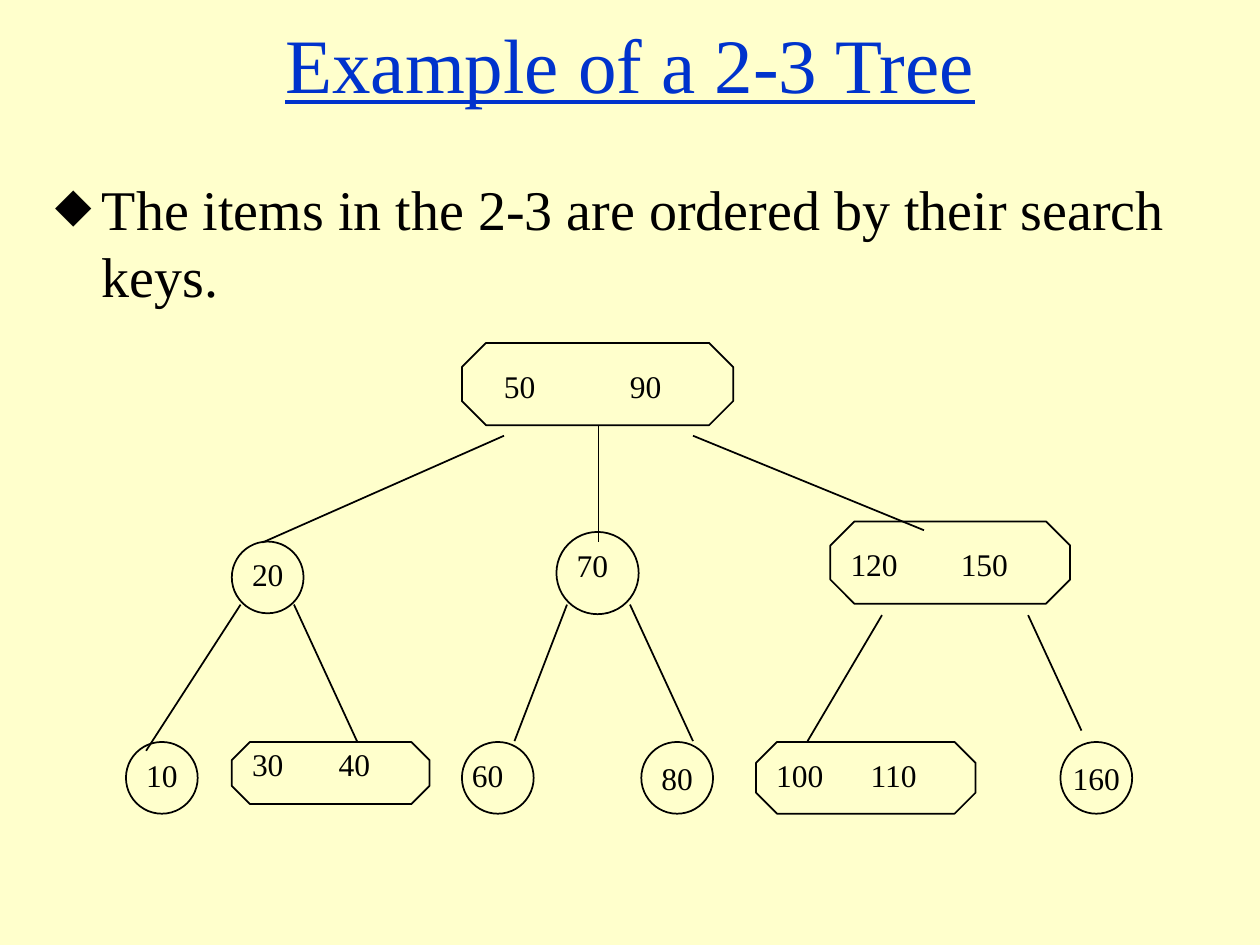
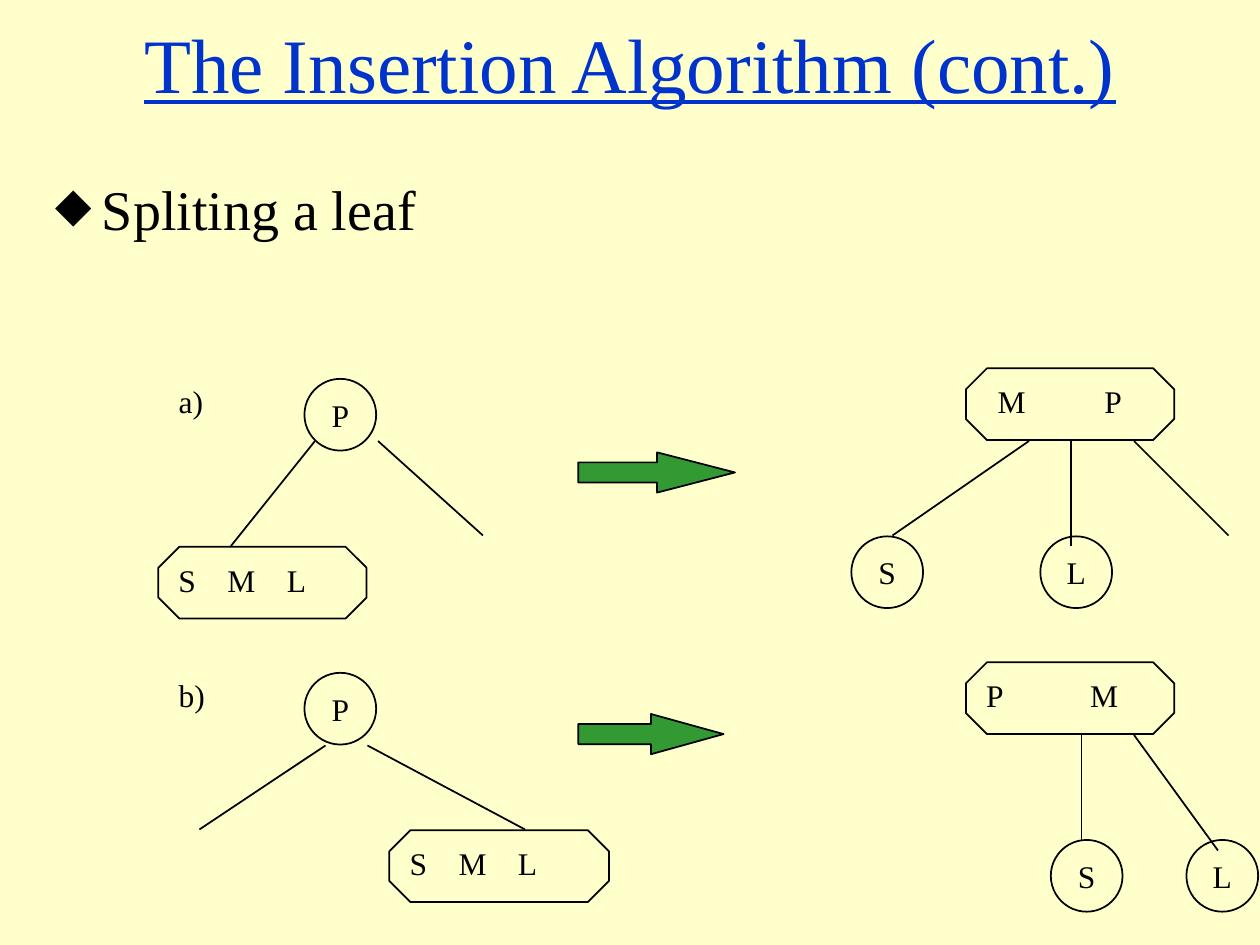
from lxml import etree
from pptx import Presentation
from pptx import util as u
from pptx.dml import color
from pptx.enum import shapes as es, text as et
from pptx.oxml import ns

Pt = u.Pt
CREAM = color.RGBColor(0xFF, 0xFF, 0xCC)
BLUE = color.RGBColor(0x00, 0x33, 0xCC)
INK = color.RGBColor(0x01, 0x00, 0x00)
BLACK = color.RGBColor(0x00, 0x00, 0x00)
GREEN = color.RGBColor(0x33, 0x99, 0x33)

FACE = "Times New Roman"
HEAD = {"size": Pt(44), "name": FACE, "underline": True}
BODY = {"size": Pt(32), "name": FACE}
MARK = {"size": Pt(18), "name": FACE}
SPOTS = {"title": (0, 0, 720, 72), "body": (24, 96, 666, 384)}

DISC = 41        # usual circle diameter
INSET = 4.4      # usual step from a node's corner to its label box
TALL = 36        # height of a label box
CUT = 0.293      # corner of an octagon

# circles with a centred key: x, y, key
# nodes: x, y, width, height, keys, label width, tab stops, label step
# lines: x1, y1, x2, y2; arrows: x, y, width, height, head; notes: x, y, width, text
DECK = [
    {
        "title": "Example of a 2-3 Tree",
        "body": "The items in the 2-3 are ordered by their search keys.",
        "discs": [(366.5, 424, "80"), (606, 424, "160")],
        "rounds": [
            (132.5, 309.5, DISC, DISC, ["20"], 38, [], (INSET, INSET)),
            (318, 304, 47, 47, ["70"], 38, [], (INSET, INSET)),
            (72, 424, DISC, DISC, ["10"], 38, [], (INSET, INSET)),
            (264, 424, DISC, DISC, ["60"], 38, [], (-1.4, INSET)),
        ],
        "nodes": [
            (264, 196, 155, 47, ["50", "90"], 134.5, [72], (16.8, 10)),
            (474.5, 298, 137, 47, ["120", "150"], 134.5, [63], (INSET, 10)),
            (132.5, 424, 113, 35.5, ["30", "40"], 104.5, [49.5], (INSET, -2)),
            (432, 424, 125.5, DISC, ["100", "110"], 122.5, [54], (INSET, INSET)),
        ],
        "lines": [
            (342, 243, 342, 310), (288, 249, 150, 310), (396, 249, 528, 303),
            (137.5, 345.5, 83.5, 429), (168, 345.5, 204, 423.5),
            (324, 345.5, 294, 423.5), (360, 345.5, 396, 423.5),
            (504, 351.5, 461.5, 423.5), (587.5, 351.5, 618, 417.5),
        ],
        "arrows": [],
        "notes": [],
    },
    {
        "title": "The Insertion Algorithm (cont.)",
        "body": "Spliting a leaf",
        "discs": [
            (174, 216.5, "P"), (486.5, 306.5, "S"), (594.5, 306.5, "L"),
            (174, 384.5, "P"), (600.5, 480, "S"), (678, 480, "L"),
        ],
        "rounds": [],
        "nodes": [
            (90.5, 312.5, 119, DISC, ["S", "M", "L"], 111.5, [28, 62], (INSET, INSET)),
            (552, 210.5, 119, DISC, ["M", "P"], 109.5, [61], (11, INSET)),
            (222.5, 474.5, 125.5, DISC, ["S", "M", "L"], 111.5, [28, 62], (INSET, INSET)),
            (552, 378.5, 119, DISC, ["P", "M"], 115, [59.5], (INSET, INSET)),
        ],
        "lines": [
            (180, 252, 132, 312), (216, 252, 276, 306),
            (588, 252, 510, 306), (612, 252, 612, 312), (648, 252, 702, 306),
            (210, 426, 300, 474), (186, 426, 114, 474),
            (618, 420, 618, 480), (648, 420, 696, 486),
        ],
        "arrows": [(330.5, 258.5, 89.5, 23, 1.935), (330.5, 408, 83, 23, 1.805)],
        "notes": [(95, 214.5, 33, "a)"), (95, 383, 34.5, "b)")],
    },
]


def put(obj, vals):
    """Set attributes of an object from a dict."""
    for key, val in vals.items():
        setattr(obj, key, val)


def style(para, look, tint):
    """Format every run of a paragraph."""
    for run in para.runs:
        put(run.font, look)
        run.font.color.rgb = tint


def place(shape, box):
    """Move a placeholder to a box in points."""
    put(shape, dict(zip(("left", "top", "width", "height"), map(Pt, box))))


def sub(node, tag, **vals):
    """Add a drawing element with attributes."""
    return etree.SubElement(node, ns.qn(tag), **vals)


def heads(slide, data):
    """Fill the title and the bulleted body."""
    pairs = [(slide.shapes.title, "title", HEAD, BLUE),
             (slide.placeholders[1], "body", BODY, INK)]
    for shape, part, look, tint in pairs:
        place(shape, SPOTS[part])
        frame = shape.text_frame
        frame.text = data[part]
        frame.auto_size = et.MSO_AUTO_SIZE.NONE
        style(frame.paragraphs[0], look, tint)
    props = frame.paragraphs[0]._p.get_or_add_pPr()
    sub(props, "a:buFont", typeface=FACE)
    sub(props, "a:buChar", char="\u2b25")


def draw(slide, kind, box, adj=(), fill=None):
    """Draw a preset shape with a thin black outline."""
    shape = slide.shapes.add_shape(kind, *map(Pt, box))
    shape.shadow.inherit = False
    for i, val in enumerate(adj):
        shape.adjustments[i] = val
    if fill is None:
        shape.fill.background()
    else:
        shape.fill.solid()
        shape.fill.fore_color.rgb = fill
    shape.line.color.rgb = BLACK
    shape.line.width = Pt(1)
    return shape


def disc(slide, x, y, key):
    """Draw a circle with its key in the centre."""
    frame = draw(slide, es.MSO_SHAPE.OVAL, (x, y, DISC, DISC)).text_frame
    put(frame, {"text": key, "word_wrap": False,
                "vertical_anchor": et.MSO_ANCHOR.MIDDLE})
    para = frame.paragraphs[0]
    para.alignment = et.PP_ALIGN.CENTER
    style(para, MARK, BLACK)


def label(slide, x, y, wide, keys, stops=()):
    """Write keys in one text box, spaced by tab stops."""
    frame = slide.shapes.add_textbox(*map(Pt, (x, y, wide, TALL))).text_frame
    put(frame, {"text": "\t".join(keys), "word_wrap": True})
    para = frame.paragraphs[0]
    style(para, MARK, BLACK)
    if stops:
        tabs = sub(para._p.get_or_add_pPr(), "a:tabLst")
        for stop in stops:
            sub(tabs, "a:tab", pos=str(int(Pt(stop))), algn="l")


def line(slide, *ends):
    """Draw a straight black branch."""
    link = slide.shapes.add_connector(es.MSO_CONNECTOR.STRAIGHT, *map(Pt, ends))
    link.line.color.rgb = BLACK
    link.line.width = Pt(1)
    sub(link._element.spPr, "a:effectLst")


def build(deck, data):
    """Add one slide."""
    slide = deck.slides.add_slide(deck.slide_layouts[1])
    heads(slide, data)
    for ends in data["lines"]:
        line(slide, *ends)
    for item in data["discs"]:
        disc(slide, *item)
    kinds = [("rounds", es.MSO_SHAPE.OVAL, ()),
             ("nodes", es.MSO_SHAPE.OCTAGON, (CUT,))]
    for part, kind, adj in kinds:
        for x, y, w, h, keys, wide, stops, (dx, dy) in data[part]:
            draw(slide, kind, (x, y, w, h), adj)
            label(slide, x + dx, y + dy, wide, keys, stops)
    for *box, tip in data["arrows"]:
        draw(slide, es.MSO_SHAPE.RIGHT_ARROW, box, (0.5, tip), GREEN)
    for x, y, wide, text in data["notes"]:
        label(slide, x, y, wide, [text])


deck = Presentation()
put(deck, {"slide_width": Pt(720), "slide_height": Pt(540)})
back = deck.slide_master.background.fill
back.solid()
back.fore_color.rgb = CREAM
for data in DECK:
    build(deck, data)
deck.save("out.pptx")
